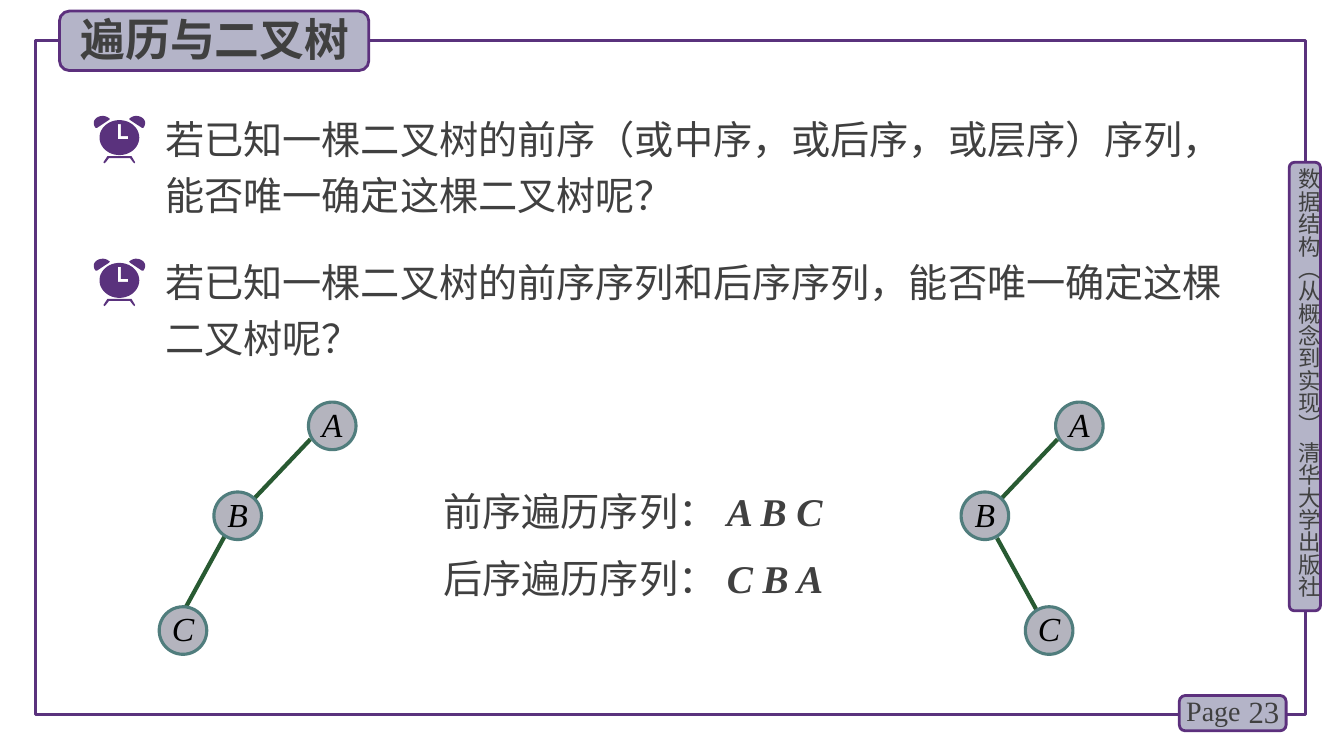
import dataclasses

import lxml.etree
import pptx
import pptx.dml.color
import pptx.enum.shapes
import pptx.enum.text
import pptx.oxml.ns
import pptx.util
import math

Pt = pptx.util.Pt
qn = pptx.oxml.ns.qn
Align = pptx.enum.text.PP_ALIGN
Anchor = pptx.enum.text.MSO_ANCHOR
Preset = pptx.enum.shapes.MSO_SHAPE


@dataclasses.dataclass(frozen=True)
class Theme:
    """Colours, fonts and type sizes of the slide."""
    frame: str = "5A327D"
    tab_line: str = "5C307D"
    tab_fill: str = "B4B4C8"
    node_fill: str = "B4B4BE"
    node_line: str = "507D7D"
    edge: str = "285A32"
    ink: str = "404040"
    node_ink: str = "000000"
    chinese: str = "Noto Sans CJK SC"
    latin: str = "Times New Roman"
    title: int = 32
    body: int = 28
    node: int = 24
    number: int = 22
    page: int = 20
    side: int = 16


def rgb(code):
    """Return the colour for a hex code."""
    return pptx.dml.color.RGBColor.from_string(code)


def bezier(start, first, second, end, steps=8):
    """Return points along a cubic curve."""
    curve = []
    for step in range(steps + 1):
        t = step / steps
        weights = ((1 - t) ** 3, 3 * t * (1 - t) ** 2, 3 * t * t * (1 - t), t ** 3)
        curve.append(tuple(sum(w * p[axis] for w, p in zip(weights, (start, first, second, end)))
                           for axis in (0, 1)))
    return curve


class SlideBuilder:
    """Draws styled elements on one slide."""

    def __init__(self, slide, theme):
        self.shapes = slide.shapes
        self.theme = theme

    def style(self, font, size, name, color=None, bold=False, italic=False):
        """Apply one type style to a font."""
        font.size, font.bold, font.italic = Pt(size), bold, italic
        font.color.rgb = rgb(color or self.theme.ink)
        font.name = name
        lxml.etree.SubElement(font._rPr, qn("a:ea")).set("typeface", name)

    def shape(self, preset, box, fill, line, weight):
        """Add a preset shape."""
        shape = self.shapes.add_shape(preset, *map(Pt, box))
        shape.shadow.inherit = False
        if fill:
            shape.fill.solid()
            shape.fill.fore_color.rgb = rgb(fill)
        else:
            shape.fill.background()
        shape.line.color.rgb = rgb(line)
        shape.line.width = Pt(weight)
        return shape

    def tab(self, box):
        """Add a rounded label plate."""
        self.shape(Preset.ROUNDED_RECTANGLE, box, self.theme.tab_fill, self.theme.tab_line, 2)

    def no_insets(self, frame):
        """Remove the inner margins of a text frame."""
        frame.margin_left = frame.margin_right = frame.margin_top = frame.margin_bottom = 0

    def frame(self, box):
        """Add an empty wrapping text box and return its frame."""
        frame = self.shapes.add_textbox(*map(Pt, box)).text_frame
        frame.word_wrap = True
        return frame

    def text(self, box, words, size, name, bold=False, align=Align.LEFT, spacing=None):
        """Add a text box in a single style."""
        frame = self.frame(box)
        paragraph = frame.paragraphs[0]
        paragraph.text = words
        paragraph.alignment = align
        if spacing:
            paragraph.line_spacing = Pt(spacing)
        self.style(paragraph.font, size, name, bold=bold)
        return frame

    def side_text(self, box, words):
        """Add vertical text along the edge."""
        frame = self.text(box, words, self.theme.side, self.theme.chinese)
        self.no_insets(frame)
        frame._txBody.bodyPr.set("vert", "eaVert")

    def sequence(self, top, label, letters):
        """Add a traversal label followed by its letters."""
        paragraph = self.frame((309.6, top, 303, 41)).paragraphs[0]
        paragraph.alignment = Align.JUSTIFY
        for words, name, strong in ((label, self.theme.chinese, False),
                                    (letters, self.theme.latin, True)):
            run = paragraph.add_run()
            run.text = words
            self.style(run.font, self.theme.body, name, bold=strong, italic=strong)

    def outline(self, left, top, *contours):
        """Add a filled outline made of closed contours."""
        placed = [[(Pt(left + x), Pt(top + y)) for x, y in contour] for contour in contours]
        builder = self.shapes.build_freeform(*placed[0][0], scale=1.0)
        for index, contour in enumerate(placed):
            if index:
                builder.move_to(*contour[0])
            builder.add_line_segments(contour[1:], close=True)
        shape = builder.convert_to_shape()
        shape.shadow.inherit = False
        shape.fill.solid()
        shape.fill.fore_color.rgb = rgb(self.theme.frame)
        shape.line.fill.background()

    def clock(self, left, top):
        """Add an alarm clock bullet."""
        legs = [(29.5, 33.1), (27, 28.8), (9.7, 28.8), (6.9, 33.1), (7.5, 33.9),
                (8.6, 33.1), (10.8, 30.2), (25.9, 30.2), (28.1, 33.1), (29.1, 33.9)]
        bell = (bezier((6.5, 0), (2.9, 0), (0, 2.2), (0, 5))
                + bezier((0, 5), (0, 6.5), (0.7, 7.9), (1.4, 8.6))
                + [(2.2, 8.6), (10.8, 2.9)]
                + bezier((11.5, 2.2), (10.1, 0.7), (7.9, 0), (6.5, 0)))
        angles = [math.radians(degree) for degree in range(0, 360, 8)]
        face = [(18.3 + 14.2 * math.cos(a), 15.5 + 12.5 * math.sin(a)) for a in angles]
        hands = [(17.3, 5.8), (17.3, 16.6), (24.5, 16.6), (24.5, 14.4), (19.4, 14.4), (19.4, 5.8)]
        self.outline(left, top, legs)
        self.outline(left, top, bell)
        self.outline(left, top, [(36.7 - x, y) for x, y in bell])
        self.outline(left, top, face, hands)

    def question(self, top, words):
        """Add a question with its clock."""
        self.text((110.9, top, 782, 86), words, self.theme.body, self.theme.chinese, spacing=40)
        self.clock(67, top + 10)

    def edge(self, start, end):
        """Add a tree edge."""
        edge = self.shapes.add_connector(pptx.enum.shapes.MSO_CONNECTOR.STRAIGHT,
                                         *map(Pt, start + end))
        edge.line.color.rgb = rgb(self.theme.edge)
        edge.line.width = Pt(3)
        lxml.etree.SubElement(edge._element.spPr, qn("a:effectLst"))

    def node(self, left, top, letter):
        """Add a tree node."""
        node = self.shape(Preset.OVAL, (left, top, 34, 34),
                          self.theme.node_fill, self.theme.node_line, 2.25)
        frame = node.text_frame
        self.no_insets(frame)
        frame.vertical_anchor = Anchor.TOP
        paragraph = frame.paragraphs[0]
        paragraph.text = letter
        paragraph.alignment = Align.CENTER
        paragraph.line_spacing = Pt(25)
        self.style(paragraph.font, self.theme.node, self.theme.latin,
                   self.theme.node_ink, italic=True)

    def tree(self, left, leaf, leaf_edge):
        """Add a three-node tree whose root starts at left."""
        top = 287.2
        for start, end in (((1.4, 26.6), (-38.9, 69.1)), leaf_edge):
            self.edge((left + start[0], top + start[1]), (left + end[0], top + end[1]))
        for letter, x, y in (("A", 0, 0), ("B", -67.5, 64.2), ("C", leaf, 146.2)):
            self.node(left + x, top + y, letter)


def main():
    """Build the slide and save it."""
    deck = pptx.Presentation()
    deck.slide_width, deck.slide_height = Pt(960), Pt(540)
    theme = Theme()
    page = SlideBuilder(deck.slides.add_slide(deck.slide_layouts[6]), theme)

    page.shape(Preset.RECTANGLE, (25.2, 28.8, 907.2, 481.7), None, theme.frame, 2.25)
    page.tab((920.9, 115.9, 22.3, 320.4))
    page.side_text((925.2, 120.2, 19.4, 323.3), "数据结构（从概念到实现） 清华大学出版社")
    page.tab((842.4, 496.8, 76.3, 25.2))
    number = page.text((878.4, 493.9, 42.5, 28.8), "23", theme.number, theme.latin,
                       align=Align.RIGHT)
    number.vertical_anchor = Anchor.MIDDLE
    page.text((840.2, 491.8, 56.2, 31.7), "Page", theme.page, theme.latin)
    page.tab((42.5, 7.9, 221, 42.5))
    page.text((50.4, 5, 213.8, 46.1), "遍历与二叉树", theme.title, theme.chinese, bold=True)

    page.question(72.8, "若已知一棵二叉树的前序（或中序，或后序，或层序）序列，能否唯一确定这棵二叉树呢？")
    page.question(174.8, "若已知一棵二叉树的前序序列和后序序列，能否唯一确定这棵二叉树呢？")
    page.tree(220.3, -106.6, ((-59.8, 95.8), (-87.8, 146.9)))
    page.tree(754, -21.6, ((-41.8, 97.2), (-13.7, 148.3)))
    page.sequence(344.2, "前序遍历序列：", "A B C")
    page.sequence(392.4, "后序遍历序列：", "C B A")
    deck.save("out.pptx")


if __name__ == "__main__":
    main()
